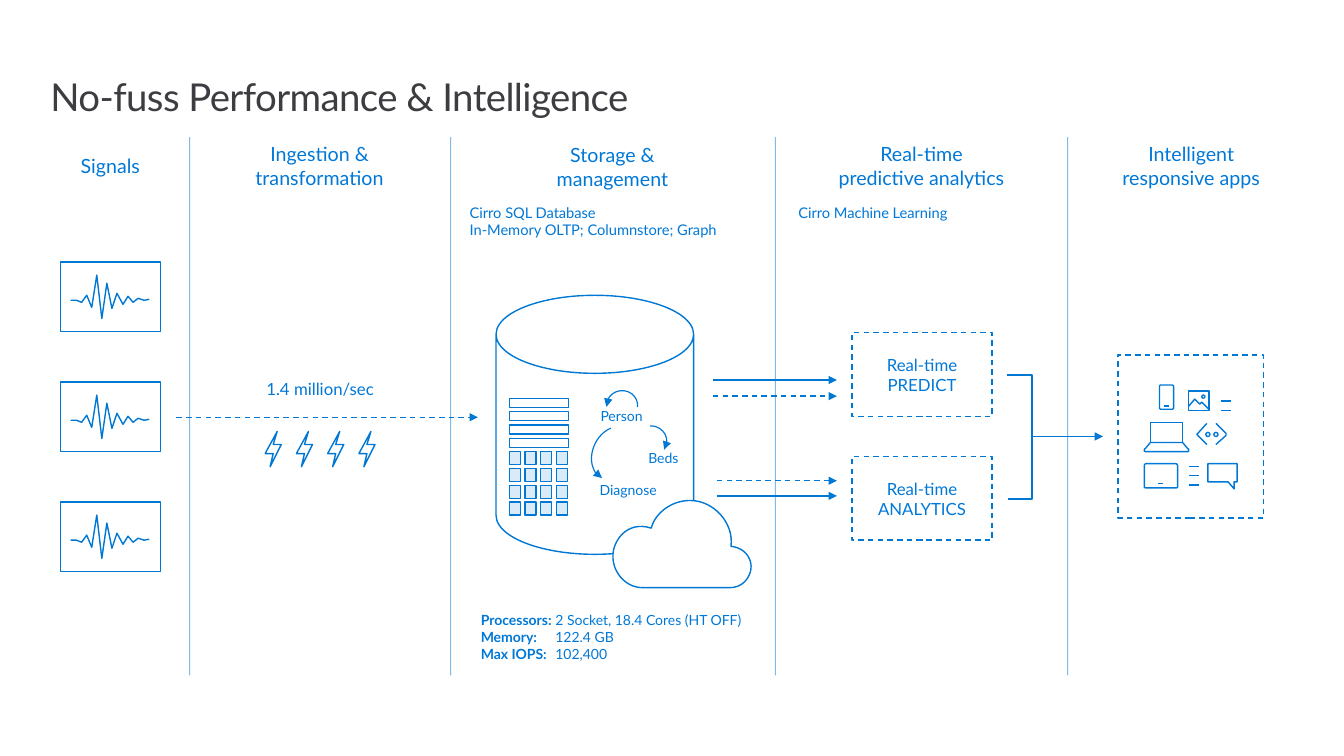
from lxml import etree
from pptx import Presentation, util as u
from pptx.dml.color import RGBColor
from pptx.enum import dml, shapes as s, text as t
from pptx.oxml.ns import qn

COLOR = {"ink": "3C3C41", "blue": "0078D7", "line": "0078D3", "white": "FFFFFF"}
FONT = "Lato"
C, L = t.PP_ALIGN.CENTER, t.PP_ALIGN.LEFT
RECT, ARC = s.MSO_SHAPE.RECTANGLE, s.MSO_SHAPE.ARC

TITLE = "No-fuss Performance & Intelligence"
# left, top, width, height, size, align, wrap, lines
LABELS = [
    (0.68, 1.48, 0.83, 0.34, 14, C, False, ["Signals"]),
    (2.19, 1.36, 1.96, 0.57, 14, C, True, ["Ingestion & transformation"]),
    (5.08, 1.37, 1.99, 0.57, 14, C, True, ["Storage & management"]),
    (8.19, 1.36, 1.9, 0.57, 14, C, False, ["Real-time\vpredictive analytics"]),
    (11, 1.36, 1.63, 0.57, 14, C, False, ["Intelligent\vresponsive apps"]),
    (2.42, 3.71, 1.51, 0.3, 12, C, True, ["1.4 million/sec"]),
    (5.85, 3.99, 0.63, 0.27, 10, C, False, ["Person"]),
    (6.33, 4.41, 0.5, 0.27, 10, C, False, ["Beds"]),
    (5.84, 4.73, 0.78, 0.27, 10, C, False, ["Diagnose"]),
    (4.56, 1.97, 2.68, 0.45, 10.5, L, False,
     ["Cirro SQL Database", "In-Memory OLTP; Columnstore; Graph"]),
    (7.82, 1.97, 1.77, 0.28, 10.5, L, False, ["Cirro Machine Learning"]),
]
SPECS = [("Processors:", "2 Socket, 18.4 Cores (HT OFF)"),
         ("Memory:", "122.4 GB"), ("Max IOPS:", "102,400")]
MODELS = [(3.3, "Real-time PREDICT"), (4.53, "Real-time ANALYTICS")]
DIVIDERS = [1.88, 4.47, 7.69, 10.59]
# x1, y1, x2, y2, dashed
ARROWS = [(1.75, 4.14, 4.74, 4.14, True),
          (7.07, 3.93, 8.3, 3.93, True), (7.07, 3.77, 8.3, 3.77, False),
          (7.11, 4.92, 8.3, 4.92, False), (7.11, 4.77, 8.3, 4.77, True),
          (10.24, 4.33, 10.94, 4.33, False)]
# left, top, width, height, turn, two adjustments, flipped
ARCS = [(6.02, 3.87, 0.3, 0.31, 262.2, 164.22, 61.77, False),
        (6.31, 4.22, 0.3, 0.31, 108.5, 152.77, 14.02, True),
        (5.88, 4.22, 0.42, 0.55, 205.8, 162, 34.1, False)]
DASHES = [(11.79, 4.63), (11.79, 4.72), (11.79, 4.81), (12.11, 3.98), (12.11, 4.07)]

# Outlines: a pair is a line to a point, six numbers are a Bezier curve
CLOUD = [(6.9, 4.97), (7.11, 5, 7.28, 5.21, 7.25, 5.42),
         (7.41, 5.44, 7.45, 5.56, 7.45, 5.62), (7.45, 5.71, 7.38, 5.83, 7.24, 5.83),
         (6.37, 5.83), (6.2, 5.83, 6.08, 5.67, 6.08, 5.53),
         (6.07, 5.38, 6.21, 5.16, 6.46, 5.24), (6.5, 5.08, 6.69, 4.94, 6.9, 4.97)]
PULSE = [(0.7, 2.98), (0.76, 2.98), (0.81, 3), (0.86, 2.93), (0.91, 3.05),
         (0.96, 2.73), (1.01, 3.16), (1.06, 2.81), (1.11, 3.06), (1.16, 2.91),
         (1.22, 3.02), (1.27, 2.94), (1.32, 3), (1.37, 2.96), (1.43, 2.98), (1.48, 2.97)]
BOLT = [(2.75, 4.28), (2.71, 4.41), (2.79, 4.41), (2.68, 4.63), (2.71, 4.5),
        (2.63, 4.5), (2.75, 4.28)]
ICONS = [
    [[(11.97, 4.41), (11.88, 4.32), (11.87, 4.31, 11.87, 4.3, 11.88, 4.3), (11.97, 4.2)]],
    [[(12.06, 4.2), (12.16, 4.3), (12.16, 4.3, 12.16, 4.31, 12.16, 4.32), (12.06, 4.41)]],
    [[(11.99, 4.06), (11.92, 3.99), (11.9, 4.01), (11.85, 3.96), (11.79, 4.03)]],
    [[(11.68, 4.83), (11.68, 4.84, 11.67, 4.84, 11.66, 4.84), (11.37, 4.84),
      (11.36, 4.84, 11.35, 4.84, 11.35, 4.83), (11.35, 4.62),
      (11.35, 4.61, 11.36, 4.6, 11.37, 4.6), (11.66, 4.6),
      (11.67, 4.6, 11.68, 4.61, 11.68, 4.62), (11.68, 4.83)],
     [(11.54, 4.8), (11.49, 4.8)]],
    [[(11.73, 4.39), (11.41, 4.39), (11.41, 4.19), (11.73, 4.19), (11.73, 4.39)],
     [(11.35, 4.47), (11.35, 4.48, 11.36, 4.48, 11.36, 4.48), (11.77, 4.48),
      (11.78, 4.48, 11.79, 4.48, 11.79, 4.47), (11.79, 4.46, 11.79, 4.45, 11.78, 4.45),
      (11.73, 4.39), (11.41, 4.39), (11.36, 4.45), (11.35, 4.45, 11.35, 4.46, 11.35, 4.47)]],
    [[(11.63, 4.06), (11.51, 4.06), (11.5, 4.05), (11.5, 3.83), (11.51, 3.82),
      (11.63, 3.82), (11.64, 3.83), (11.64, 4.05), (11.63, 4.06)],
     [(11.55, 4.03), (11.59, 4.03)]],
    [[(12.27, 4.6), (11.98, 4.6), (11.98, 4.78), (12.18, 4.78), (12.24, 4.85),
      (12.24, 4.78), (12.27, 4.78), (12.27, 4.6)]],
]

deck = Presentation()
deck.slide_width, deck.slide_height = u.Inches(13.33), u.Inches(7.5)
board = deck.slides.add_slide(deck.slide_layouts[6]).shapes


def rgb(name):
    return RGBColor.from_string(COLOR[name])


def fade(fill, pct):
    tint = fill.find(".//" + qn("a:srgbClr"))
    etree.SubElement(tint, qn("a:alpha")).set("val", str(pct * 1000))


def stroke(item, color="line", width=1, dash=False, end=None):
    """Style a line; end is headEnd or tailEnd for an arrowhead."""
    item.line.color.rgb = rgb(color)
    item.line.width = u.Pt(width)
    if dash:
        item.line.dash_style = dml.MSO_LINE.DASH
    if end:
        ln = item._element.spPr.find(qn("a:ln"))
        etree.SubElement(ln, qn("a:" + end)).set("type", "triangle")


def shape(kind, x, y, w, h, fill=None, **pen):
    item = board.add_shape(kind, *map(u.Inches, (x, y, w, h)))
    item.shadow.inherit = False
    paint(item, fill)
    stroke(item, **pen)
    return item


def paint(item, fill):
    if fill:
        item.fill.solid()
        item.fill.fore_color.rgb = rgb(fill)
    else:
        item.fill.background()


def link(x1, y1, x2, y2, kind=s.MSO_CONNECTOR.STRAIGHT, **pen):
    item = board.add_connector(kind, *map(u.Inches, (x1, y1, x2, y2)))
    stroke(item, **pen)
    etree.SubElement(item._element.spPr, qn("a:effectLst"))
    return item


def trace(steps, dx, dy):
    """Turn lines and curves into a list of points in EMU."""
    pts = [steps[0]]
    for step in steps[1:]:
        if len(step) == 2:
            pts.append(step)
            continue
        ctrl = [pts[-1], step[:2], step[2:4], step[4:]]
        for k in range(1, 17):
            f = k / 16
            mix = ((1 - f) ** 3, 3 * f * (1 - f) ** 2, 3 * f * f * (1 - f), f ** 3)
            pts.append(tuple(sum(m * c[i] for m, c in zip(mix, ctrl)) for i in (0, 1)))
    return [(u.Inches(x + dx), u.Inches(y + dy)) for x, y in pts]


def draw(parts, dx=0, dy=0, fill=None, color="line"):
    pen = None
    for steps in parts:
        pts = trace(steps, dx, dy)
        if pen is None:
            pen = board.build_freeform(*pts[0])
        else:
            pen.move_to(*pts[0])
        pen.add_line_segments(pts[1:], close=steps[0] == steps[-1][-2:])
    item = pen.convert_to_shape()
    item.shadow.inherit = False
    paint(item, fill)
    stroke(item, color)


def style(par, size, align=L, color="blue"):
    par.alignment = align
    par.font.size, par.font.name = u.Pt(size), FONT
    par.font.color.rgb = rgb(color)


def write(x, y, w, h, size, align, wrap, lines, color="blue"):
    frame = board.add_textbox(*map(u.Inches, (x, y, w, h))).text_frame
    frame.word_wrap = wrap
    for i, line in enumerate(lines):
        par = frame.add_paragraph() if i else frame.paragraphs[0]
        par.text = line
        style(par, size, align, color)
    return frame


shape(s.MSO_SHAPE.CAN, 4.92, 2.93, 1.96, 2.57, "white").adjustments[0] = 0.395
draw([CLOUD], fill="white")

head = write(0.5, 0.68, 12.36, 0.44, 27.4, L, True, [TITLE], "ink")
head.margin_left, head.margin_right = 0, u.Inches(0.16)
head.margin_top = head.margin_bottom = u.Inches(0.1)
head.paragraphs[0].line_spacing = 0.9
head.paragraphs[0].runs[0]._r.get_or_add_rPr().set("spc", "-40")
for label in LABELS:
    write(*label)

for y, name in MODELS:
    frame = shape(RECT, 8.45, y, 1.39, 0.83, dash=True).text_frame
    frame.word_wrap = True
    frame.vertical_anchor = t.MSO_ANCHOR.MIDDLE
    frame.margin_left = frame.margin_right = u.Inches(0.2)
    frame.margin_top = frame.margin_bottom = u.Inches(0.16)
    frame.paragraphs[0].text = name
    style(frame.paragraphs[0], 12, C)

for i in range(3):
    draw([PULSE], dy=1.19 * i)
    shape(RECT, 0.6, 2.6 + 1.19 * i, 0.99, 0.69)
for i in range(4):
    draw([BOLT], dx=0.31 * i)

for x, y, w, h, turn, start, stop, flip in ARCS:
    arc = shape(ARC, x, y, w, h, width=0.85, end="headEnd")
    arc.rotation = turn
    arc.adjustments[0], arc.adjustments[1] = start, stop
    if flip:
        arc._element.spPr.find(qn("a:xfrm")).set("flipH", "1")

for *ends, dash in ARROWS:
    link(*ends, dash=dash, end="tailEnd")
for x in DIVIDERS:
    fade(link(x, 1.36, x, 6.7, width=0.75)._element.spPr, 50)
joint = link(9.99, 3.72, 10, 4.95, s.MSO_CONNECTOR.ELBOW)
guides = joint._element.spPr.find(qn("a:prstGeom")).get_or_add_avLst()
etree.SubElement(guides, qn("a:gd"), name="adj1", fmla="val 2500000")

for icon in ICONS:
    draw(icon, color="blue")
shape(RECT, 11.79, 3.88, 0.2, 0.19, color="blue")
for x, y, d in [(11.92, 3.92, 0.03), (11.96, 4.29, 0.04), (12.04, 4.29, 0.04)]:
    shape(s.MSO_SHAPE.OVAL, x, y, d, d, color="blue")
for x, y in DASHES:
    link(x, y, x + 0.1, y, color="blue")
shape(RECT, 11.09, 3.52, 1.44, 1.62, dash=True)

for row in range(4):
    shape(RECT, 5.05, 3.95 + 0.4 * row / 3, 0.59, 0.09, width=0.85)
    for col in range(4):
        cell = shape(RECT, 5.05 + 0.47 * col / 3, 4.48 + 0.5 * row / 3, 0.11, 0.13,
                     "line", width=0.85)
        fade(cell._element.spPr.find(qn("a:solidFill")), 15)

facts = write(4.67, 6.02, 2.81, 0.61, 10, L, True, [""] * len(SPECS))
for par, (name, value) in zip(facts.paragraphs, SPECS):
    tabs = etree.Element(qn("a:tabLst"))
    etree.SubElement(tabs, qn("a:tab"), pos=str(u.Inches(0.74)), algn="l")
    par._p.get_or_add_pPr().insert(0, tabs)
    for part, bold in ((name + "\t", True), (value, False)):
        run = par.add_run()
        run.text, run.font.bold = part, bold

deck.save("out.pptx")
